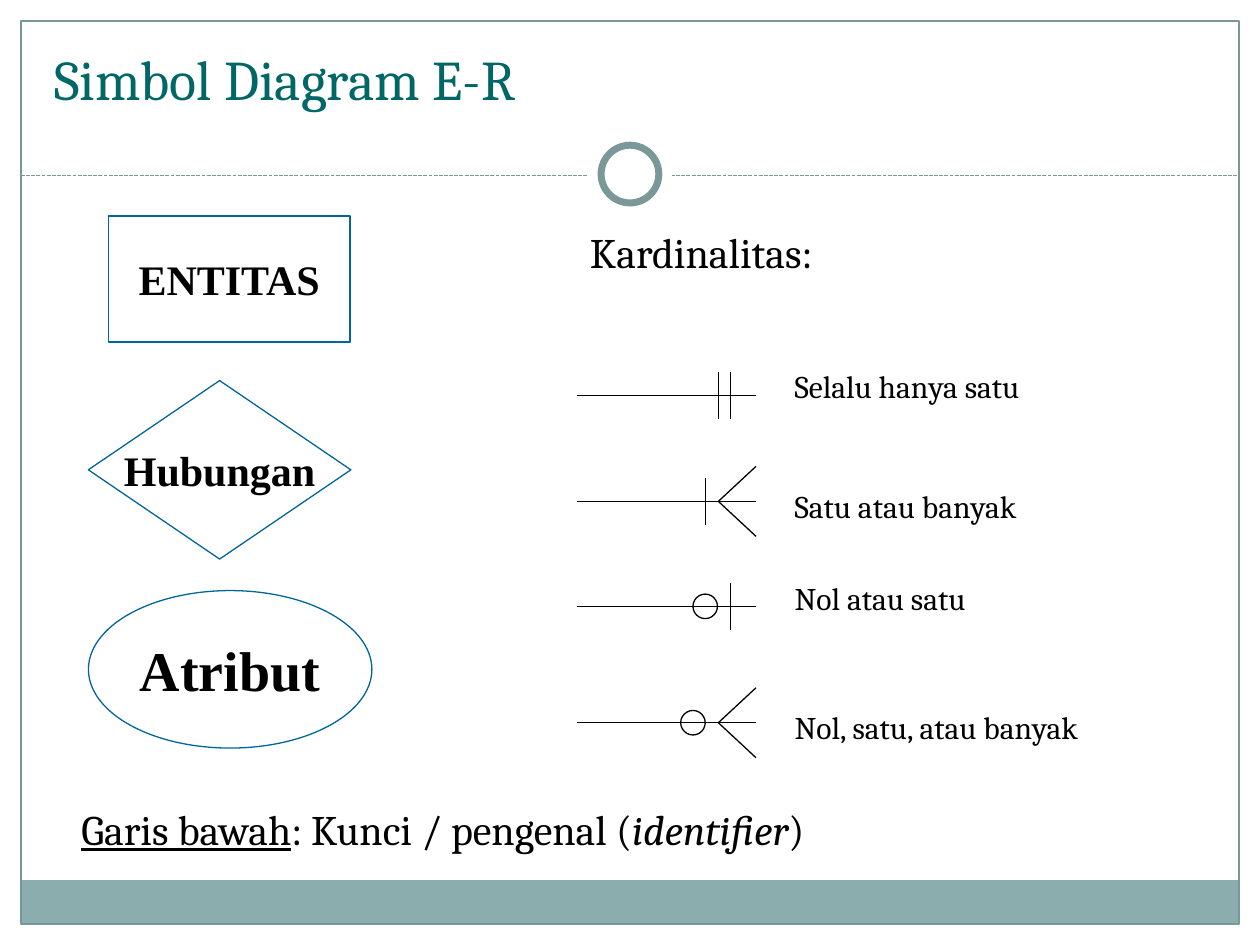
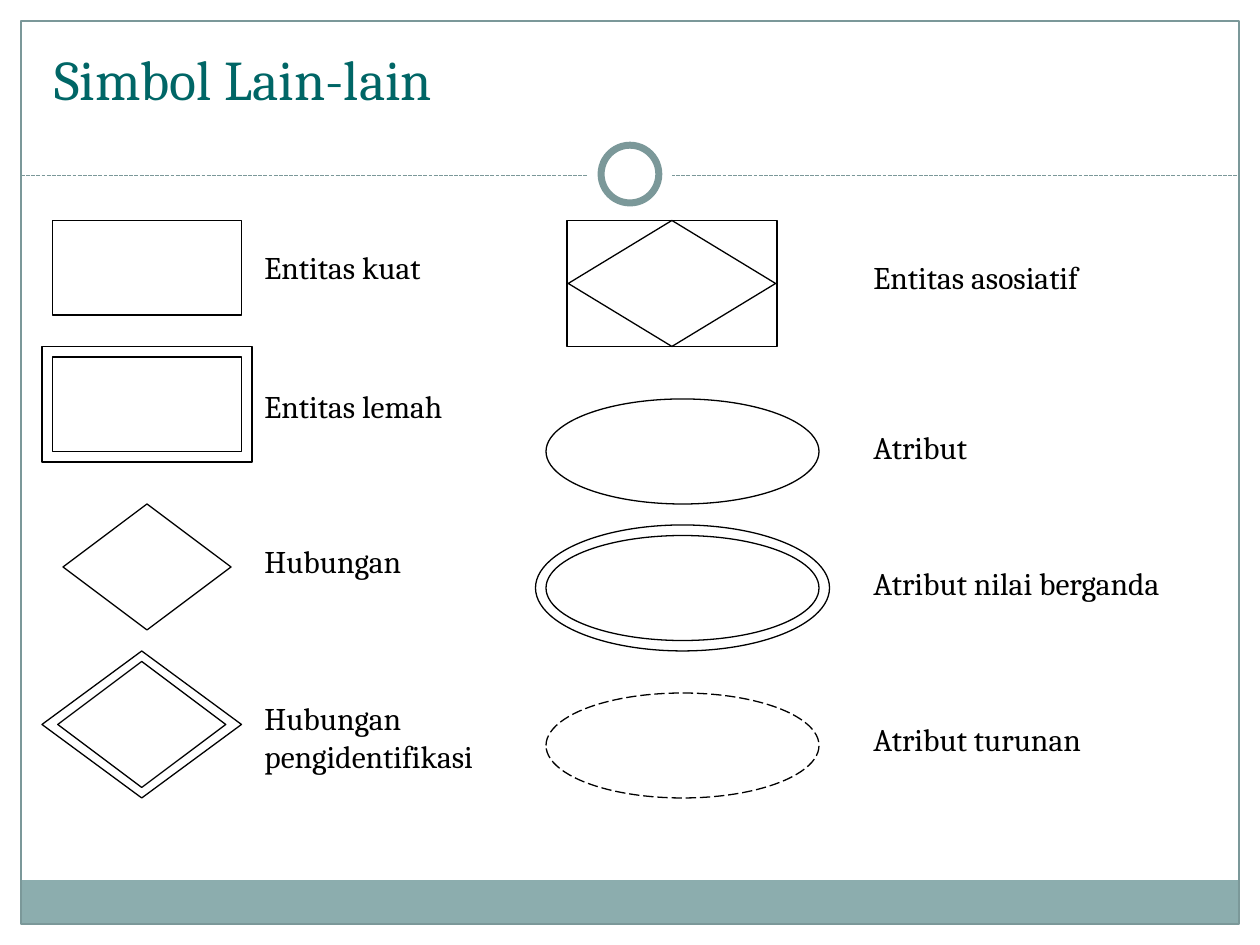
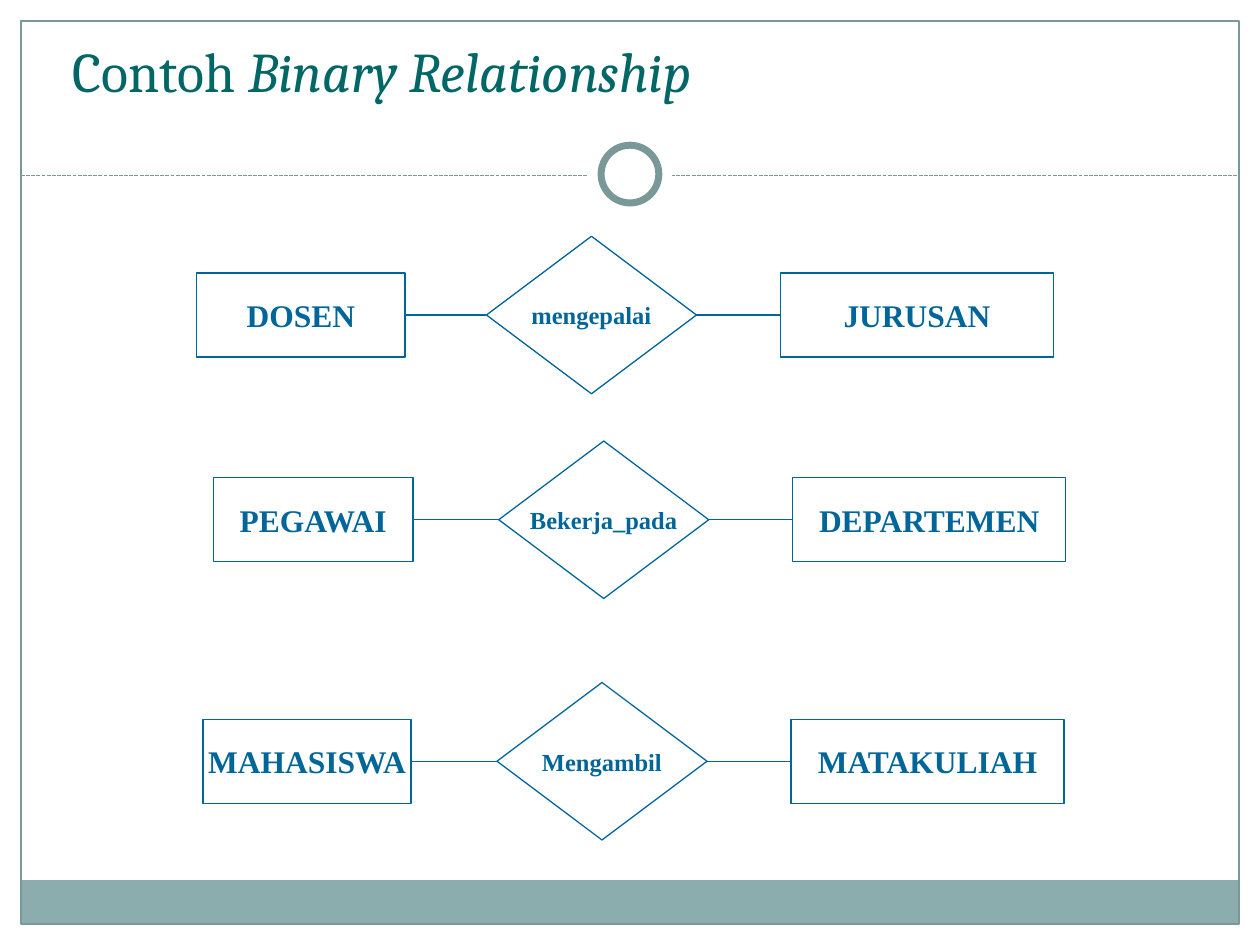
from lxml import etree
from pptx import Presentation
from pptx import util as u
from pptx.dml import color
from pptx.enum import dml, shapes, text
from pptx.oxml import ns

SERIF, TIMES = "Cambria", "Times New Roman"
BLACK, WHITE, TEAL, BLUE = "000000", "FFFFFF", "006666", "006699"
BAND, FRAME = "8CADAE", "7B9899"
RECTANGLE = shapes.MSO_SHAPE.RECTANGLE
ELLIPSE = shapes.MSO_SHAPE.OVAL
DIAMOND = shapes.MSO_SHAPE.FLOWCHART_DECISION
BAR_HALF, FOOT_HALF, CIRCLE = 13.5, 20, 14


def rgb(value):
    """Turn a hex string into a colour."""
    return color.RGBColor.from_string(value)


def points(*values):
    """Turn numbers into lengths in points."""
    return [u.Pt(value) for value in values]


def style_line(line, line_color, width=0.75, dash=None):
    """Set the colour, width and dash of a line."""
    line.color.rgb = rgb(line_color)
    line.width = u.Pt(width)
    if dash:
        line.dash_style = dash


def style_font(font, size, name, font_color, bold=False):
    """Set the look of a run."""
    font.size, font.name, font.bold = u.Pt(size), name, bold
    font.color.rgb = rgb(font_color)


def add_shape(slide, kind, box, line=None, fill=None, width=0.75, dash=None):
    """Add a flat shape, hollow unless a fill is given."""
    shape = slide.shapes.add_shape(kind, *points(*box))
    shape.shadow.inherit = False
    if fill:
        shape.fill.solid()
        shape.fill.fore_color.rgb = rgb(fill)
    else:
        shape.fill.background()
    if line:
        style_line(shape.line, line, width, dash)
    else:
        shape.line.fill.background()
    return shape


def add_line(slide, start, end, line_color=BLACK, dash=None):
    """Add a straight line without a shadow."""
    connector = slide.shapes.add_connector(
        shapes.MSO_CONNECTOR.STRAIGHT, *points(*start, *end))
    style_line(connector.line, line_color, dash=dash)
    etree.SubElement(connector._element.spPr, ns.qn("a:effectLst"))
    return connector


def add_text(slide, box, parts, size=18, font_color=BLACK):
    """Add a text box from (words, emphasis) parts and return it."""
    text_box = slide.shapes.add_textbox(*points(*box))
    frame = text_box.text_frame
    frame.word_wrap = True
    for words, emphasis in parts:
        run = frame.paragraphs[0].add_run()
        run.text = words
        style_font(run.font, size, SERIF, font_color)
        run.font.italic = emphasis == "italic"
        run.font.underline = emphasis == "underline"
    return text_box


def add_symbol(slide, kind, box, label, size, font_color):
    """Add a blue outlined symbol with a bold centred label."""
    shape = add_shape(slide, kind, box, BLUE)
    frame = shape.text_frame
    frame.text = label
    frame.word_wrap = False
    frame.vertical_anchor = text.MSO_ANCHOR.MIDDLE
    paragraph = frame.paragraphs[0]
    paragraph.alignment = text.PP_ALIGN.CENTER
    style_font(paragraph.runs[0].font, size, TIMES, font_color, bold=True)
    return shape


def add_base_slide(presentation, title, title_box=(24, 14.5, 672, 60), spacing=1.0):
    """Add a slide with the band, frame, ring and title."""
    slide = presentation.slides.add_slide(presentation.slide_layouts[6])
    add_shape(slide, RECTANGLE, (12, 503, 696, 24.5), fill=BAND)
    add_shape(slide, RECTANGLE, (12, 12, 696, 516), FRAME)
    add_line(slide, (12, 100.5), (708, 100.5), FRAME, dml.MSO_LINE.SQUARE_DOT)
    add_shape(slide, ELLIPSE, (336, 75.5, 48, 48), fill=WHITE)
    add_shape(slide, ELLIPSE, (343.5, 83, 33, 33), FRAME, WHITE, width=4)
    frame = add_text(slide, title_box, title, 32, TEAL).text_frame
    frame.vertical_anchor = text.MSO_ANCHOR.MIDDLE
    frame.paragraphs[0].line_spacing = spacing
    return slide


def add_cardinality(slide, left, top, label, label_shift, bars=(), circle=None, foot=False):
    """Add one cardinality line with its end marks and label."""
    end, foot_tip = left + 102, left + 80.5
    add_line(slide, (left, top), (end, top))
    for bar in bars:
        add_line(slide, (left + bar, top - BAR_HALF), (left + bar, top + BAR_HALF))
    if circle:
        add_shape(slide, ELLIPSE, (left + circle - CIRCLE / 2, top - CIRCLE / 2,
                                   CIRCLE, CIRCLE), BLACK)
    if foot:
        for side in (-FOOT_HALF, FOOT_HALF):
            add_line(slide, (foot_tip, top), (end, top + side))
    add_text(slide, (left + 117, top + label_shift, 234, 29), [(label, None)])


def add_legend(slide, left, top, entries):
    """Add a column of plain or doubled symbols with labels."""
    for kind, box, label, label_left, label_top, inner, inset, dash in entries:
        x, y, width, height = box
        x, y = left + x, top + y
        add_shape(slide, kind, (x, y, width, height), BLACK, dash=dash)
        if inner:
            across, down = inset
            add_shape(slide, inner, (x + across, y + down, width - 2 * across,
                                     height - 2 * down), BLACK)
        add_text(slide, (left + label_left, top + label_top, 192, 29), [(label, None)])


def add_relationship(slide, top, entity_left, entity_width, diamond_left, labels):
    """Add two entities joined through a relationship diamond."""
    first, verb, second = labels
    diamond = add_symbol(slide, DIAMOND, (diamond_left, top, 120, 90), verb, 14, BLUE)
    source = add_symbol(slide, RECTANGLE, (entity_left, top + 21, entity_width, 48),
                        first, 18, BLUE)
    target = add_symbol(slide, RECTANGLE, (diamond_left + 168, top + 21, 156, 48),
                        second, 18, BLUE)
    for begin, end in ((source, diamond), (diamond, target)):
        connector = add_line(slide, (0, 0), (0, 0), BLUE)
        connector.begin_connect(begin, 3)
        connector.end_connect(end, 1)


def build_er_symbols(presentation):
    """Build the slide of basic symbols and cardinalities."""
    slide = add_base_slide(presentation, [("Simbol Diagram E-R", None)])
    add_symbol(slide, RECTANGLE, (62, 123.5, 138, 72), "ENTITAS", 24, BLACK)
    add_symbol(slide, DIAMOND, (50.5, 217.5, 150, 102), "Hubungan", 24, BLACK)
    add_symbol(slide, ELLIPSE, (50.5, 337.5, 162, 90), "Atribut", 32, BLACK)
    add_text(slide, (39.5, 455.5, 618, 36),
             [("Garis bawah", "underline"), (": Kunci / pengenal (", None),
              ("identifier", "italic"), (")", None)], 24)
    add_text(slide, (330, 126, 270, 36), [("Kardinalitas:", None)], 24)
    add_cardinality(slide, 330, 226, "Selalu hanya satu", -20, bars=(80.5, 87.5))
    add_cardinality(slide, 330, 286.5, "Satu atau banyak", -12, bars=(73,), foot=True)
    add_cardinality(slide, 330, 346.5, "Nol atau satu", -19, bars=(87.5,), circle=73)
    add_cardinality(slide, 330, 413, "Nol, satu, atau banyak", -12, circle=66, foot=True)


def build_other_symbols(presentation):
    """Build the slide with two columns of further symbols."""
    slide = add_base_slide(presentation, [("Simbol Lain-lain", None)])
    dashed = dml.MSO_LINE.LONG_DASH
    add_legend(slide, 24, 126, [
        (RECTANGLE, (6, 0, 108, 54), "Entitas kuat", 120, 12, None, None, None),
        (RECTANGLE, (0, 72, 120, 66), "Entitas lemah", 120, 91.5, RECTANGLE, (6, 6), None),
        (DIAMOND, (12, 162, 96, 72), "Hubungan", 120, 180, None, None, None),
        (DIAMOND, (0, 246, 114, 84), "Hubungan pengidentifikasi", 120, 270,
         DIAMOND, (9, 6), None),
    ])
    add_legend(slide, 306, 126, [
        (RECTANGLE, (18, 0, 120, 72), "Entitas asosiatif", 186, 18, DIAMOND, (0.75, 0), None),
        (ELLIPSE, (6, 102, 156, 60), "Atribut", 186, 115, None, None, None),
        (ELLIPSE, (0, 174, 168, 72), "Atribut nilai berganda", 186, 193,
         ELLIPSE, (6, 6), None),
        (ELLIPSE, (6, 270, 156, 60), "Atribut turunan", 186, 282, None, None, dashed),
    ])


def build_binary_relationships(presentation):
    """Build the slide of example binary relationships."""
    slide = add_base_slide(
        presentation, [("Contoh ", None), ("Binary Relationship", "italic")],
        (34.5, 12, 649.5, 60.5), 0.9)
    add_relationship(slide, 135, 112.5, 119, 278, ("DOSEN", "mengepalai", "JURUSAN"))
    add_relationship(slide, 252, 122, 114, 285, ("PEGAWAI", "Bekerja_pada", "DEPARTEMEN"))
    add_relationship(slide, 390, 116, 119, 284, ("MAHASISWA", "Mengambil", "MATAKULIAH"))


def main():
    """Build and save the presentation."""
    presentation = Presentation()
    presentation.slide_width, presentation.slide_height = points(720, 540)
    build_er_symbols(presentation)
    build_other_symbols(presentation)
    build_binary_relationships(presentation)
    presentation.save("out.pptx")


if __name__ == "__main__":
    main()
